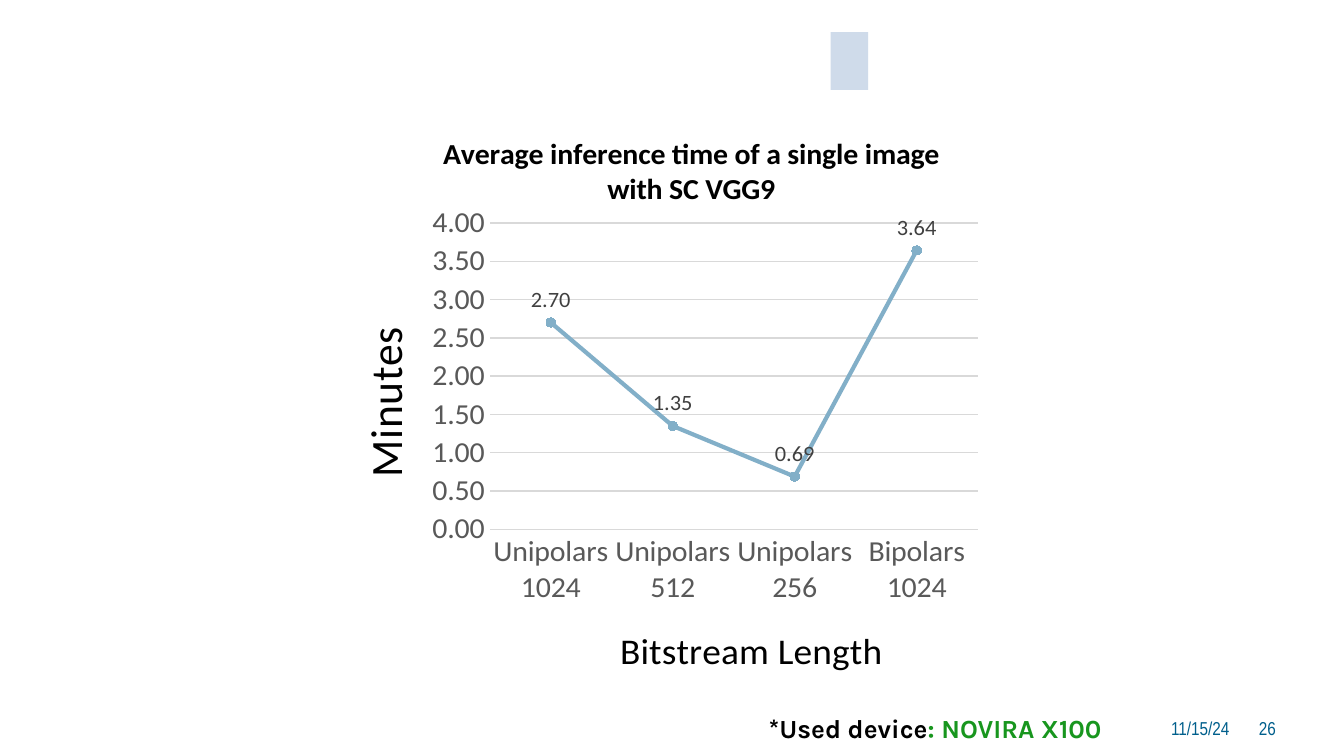
"""Builds the slide charting average inference time by bitstream length."""
from dataclasses import dataclass

from lxml.etree import SubElement
from pptx import Presentation
from pptx.chart.data import CategoryChartData
from pptx.dml.color import RGBColor
from pptx.enum.chart import XL_CHART_TYPE as ChartType
from pptx.enum.chart import XL_LABEL_POSITION as LabelPosition
from pptx.enum.chart import XL_MARKER_STYLE as MarkerStyle
from pptx.enum.chart import XL_TICK_MARK as TickMark
from pptx.enum.shapes import MSO_SHAPE as Shape
from pptx.enum.text import MSO_ANCHOR as Anchor
from pptx.enum.text import PP_ALIGN as Align
from pptx.oxml.ns import qn
from pptx.util import Inches, Pt


@dataclass(frozen=True)
class Theme:
    black: str = "000000"
    footer: str = "005F8C"
    device: str = "18961E"
    accent: str = "CFDBEA"
    series: str = "82AFC8"
    grid: str = "D9D9D9"
    axis_text: str = "595959"
    label_text: str = "404040"
    chart_font: str = "Calibri"
    footer_font: str = "Arial Narrow"
    device_font: str = "Karla"
    footer_size: int = 10
    label_size: int = 12
    device_size: int = 14
    axis_size: int = 16
    category_title_size: int = 20
    value_title_size: int = 24


def style(font, color, **values):
    for name, value in values.items():
        setattr(font, name, Pt(value) if name == "size" else value)
    font.color.rgb = RGBColor.from_string(color)


def place(parent, index, **position):
    for old in parent.findall(qn("c:layout")):
        parent.remove(old)
    layout = SubElement(parent, qn("c:layout"))
    parent.insert(index, layout)
    manual = SubElement(layout, qn("c:manualLayout"))
    modes = {"xMode": "edge", "yMode": "edge"}
    if "w" in position:
        modes = {"layoutTarget": "inner", **modes}
    for tag, value in {**modes, **position}.items():
        SubElement(manual, qn(f"c:{tag}")).set("val", str(value))


theme = Theme()
deck = Presentation()
deck.slide_width, deck.slide_height = Inches(10), Inches(10) * 9 // 16
slide = deck.slides.add_slide(deck.slide_layouts[6])

for text, left, width in (("11/15/24", 8.46, 0.94), ("26", 9.23, 0.4)):
    footer = slide.shapes.add_textbox(Inches(left), Inches(5.27), Inches(width), Inches(0.3)).text_frame
    footer.word_wrap = True
    footer.vertical_anchor = Anchor.MIDDLE
    line = footer.paragraphs[0]
    line.alignment = Align.CENTER
    run = line.add_run()
    run.text = text
    style(run.font, theme.footer, name=theme.footer_font, size=theme.footer_size)

accent = slide.shapes.add_shape(Shape.RECTANGLE, Inches(6.18), Inches(0.24), Inches(0.28), Inches(0.43))
accent.shadow.inherit = False
accent.fill.solid()
accent.fill.fore_color.rgb = RGBColor.from_string(theme.accent)
accent.line.fill.background()

times = CategoryChartData(number_format="0.00")
times.categories = ["Unipolars 1024", "Unipolars 512", "Unipolars 256", "Bipolars 1024"]
times.add_series("Series 1", (2.7, 1.35, 0.69, 3.64))
chart = slide.shapes.add_chart(
    ChartType.LINE_MARKERS, Inches(2.58), Inches(0.83), Inches(4.84), Inches(4.27), times
).chart
chart.has_legend = False
style(chart.font, theme.black, name=theme.chart_font, size=theme.footer_size)
place(chart.plots[0]._element.getparent(), 0, x=0.22, y=0.2, w=0.75, h=0.55)

minutes, lengths = chart.value_axis, chart.category_axis
for holder, text, size, bold, x, y in (
    (chart.chart_title, "Average inference time of a single image with SC VGG9", theme.axis_size, True, 0.14, 0.03),
    (lengths.axis_title, "Bitstream Length", theme.category_title_size, False, 0.41, 0.91),
    (minutes.axis_title, "Minutes", theme.value_title_size, False, 0, 0.38),
):
    run = holder.text_frame.paragraphs[0].add_run()
    run.text = text
    style(run.font, theme.black, name=theme.chart_font, size=size, bold=bold)
    place(holder._element, 1, x=x, y=y)

for axis in (minutes, lengths):
    axis.major_tick_mark = axis.minor_tick_mark = TickMark.NONE
    style(axis.tick_labels.font, theme.axis_text, name=theme.chart_font, size=theme.axis_size)
minutes.minimum_scale, minutes.maximum_scale, minutes.major_unit = 0, 4, 0.5
minutes.tick_labels.number_format = "0.00"
minutes.tick_labels.number_format_is_linked = False
minutes.format.line.fill.background()
for rule in (minutes.major_gridlines.format.line, lengths.format.line):
    rule.color.rgb = RGBColor.from_string(theme.grid)
    rule.width = Pt(0.75)

plot = chart.plots[0]
plot.vary_by_categories = False
inference = plot.series[0]
inference.smooth = False
inference.format.line.color.rgb = RGBColor.from_string(theme.series)
inference.format.line.width = Pt(2.25)
inference.marker.style = MarkerStyle.CIRCLE
inference.marker.size = 5
inference.marker.format.fill.solid()
inference.marker.format.fill.fore_color.rgb = RGBColor.from_string(theme.series)
inference.marker.format.line.color.rgb = RGBColor.from_string(theme.series)

labels = inference.data_labels
label_format = {
    "show_value": True,
    "position": LabelPosition.ABOVE,
    "number_format": "0.00",
    "number_format_is_linked": False,
}
for name, value in label_format.items():
    setattr(labels, name, value)
style(labels.font, theme.label_text, name=theme.chart_font, size=theme.label_size)

device = slide.shapes.add_textbox(Inches(5.62), Inches(5.25), Inches(2.82), Inches(0.34)).text_frame
device.word_wrap = True
for text, color in (("*Used device", theme.black), (": NOVIRA X100", theme.device)):
    run = device.paragraphs[0].add_run()
    run.text = text
    style(run.font, color, name=theme.device_font, size=theme.device_size, bold=True)

deck.save("out.pptx")
